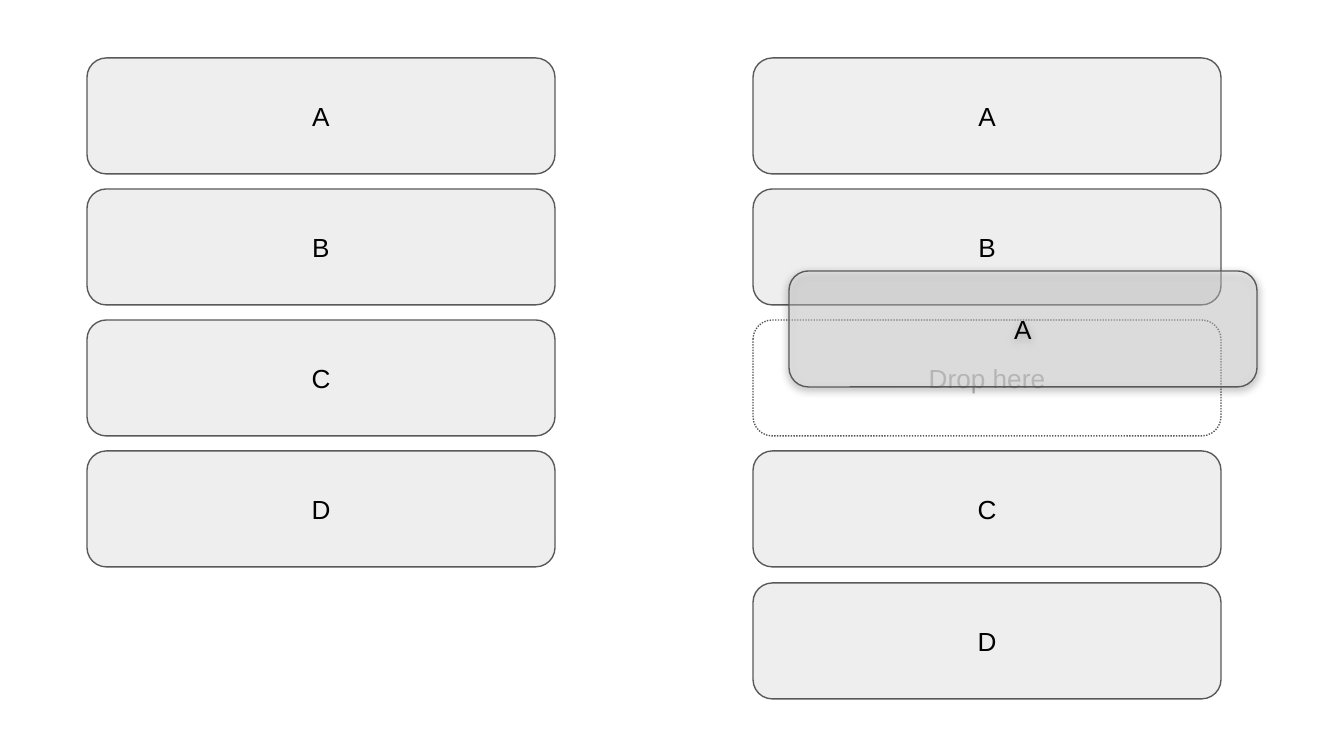
from pptx import Presentation
from pptx.dml.color import RGBColor
from pptx.enum.dml import MSO_LINE
from pptx.enum.shapes import MSO_SHAPE
from pptx.enum.text import MSO_ANCHOR, PP_ALIGN
from pptx.oxml import parse_xml
from pptx.oxml.ns import nsdecls, qn
from pptx.util import Inches, Pt

PX = 914400 / 134.4
COLORS = {
    "card": "EEEEEE",
    "first": "EFEFEF",
    "slot": "FFFFFF",
    "line": "595959",
    "text": "000000",
    "hint": "B7B7B7",
}
WIDE, HIGH = 468, 116
TOP = 58
LEFT, RIGHT = 87, 753


def emu(px):
    return round(px * PX)


def row_top(row):
    # Rows repeat every 131.25 px
    return TOP + row * 525 // 4


class Board:
    def __init__(self, slide):
        self.slide = slide
        self.font = "Arial"
        self.size = Pt(14)

    def color(self, name):
        return RGBColor.from_string(COLORS[name])

    def card(self, label, x, y, fill="card", ink="text"):
        box = self.slide.shapes.add_shape(
            MSO_SHAPE.ROUNDED_RECTANGLE, emu(x), emu(y), emu(WIDE), emu(HIGH))
        box.shadow.inherit = False
        box.fill.solid()
        box.fill.fore_color.rgb = self.color(fill)
        box.line.color.rgb = self.color("line")
        box.line.width = Pt(0.75)

        frame = box.text_frame
        frame.text = label
        frame.word_wrap = True
        frame.vertical_anchor = MSO_ANCHOR.MIDDLE
        frame.margin_left = frame.margin_right = Inches(0.1)
        frame.margin_top = frame.margin_bottom = Inches(0.1)
        para = frame.paragraphs[0]
        para.alignment = PP_ALIGN.CENTER
        font = para.runs[0].font
        font.name, font.size = self.font, self.size
        font.color.rgb = self.color(ink)
        return box

    def slot(self, label, x, y):
        box = self.card(label, x, y, "slot", "hint")
        box.line.dash_style = MSO_LINE.ROUND_DOT

    def dragged(self, label, x, y):
        box = self.card(label, x, y)
        props = box._element.spPr
        # See-through fill
        tint = props.find(qn("a:solidFill")).find(qn("a:srgbClr"))
        tint.append(parse_xml(f'<a:alpha {nsdecls("a")} val="37000"/>'))
        # Soft shadow straight below
        props.find(qn("a:effectLst")).append(parse_xml(
            f'<a:outerShdw {nsdecls("a")} blurRad="{Pt(4.5)}" dist="{Pt(1.5)}" '
            'dir="5400000" algn="bl" rotWithShape="0">'
            '<a:srgbClr val="000000"><a:alpha val="50000"/></a:srgbClr>'
            '</a:outerShdw>'))


def main():
    deck = Presentation()
    deck.slide_width, deck.slide_height = emu(1344), emu(756)
    board = Board(deck.slides.add_slide(deck.slide_layouts[6]))

    # List before the drag
    for row, label in enumerate("ABCD"):
        board.card(label, LEFT, row_top(row))

    # List during the drag, with row 2 left open
    for row, label in zip((0, 1, 3, 4), "ABCD"):
        fill = "first" if row == 0 else "card"
        board.card(label, RIGHT, row_top(row), fill)
    board.slot("Drop here", RIGHT, row_top(2))

    # Card being moved
    board.dragged("A", RIGHT + 36, 271)

    deck.save("out.pptx")


if __name__ == "__main__":
    main()
